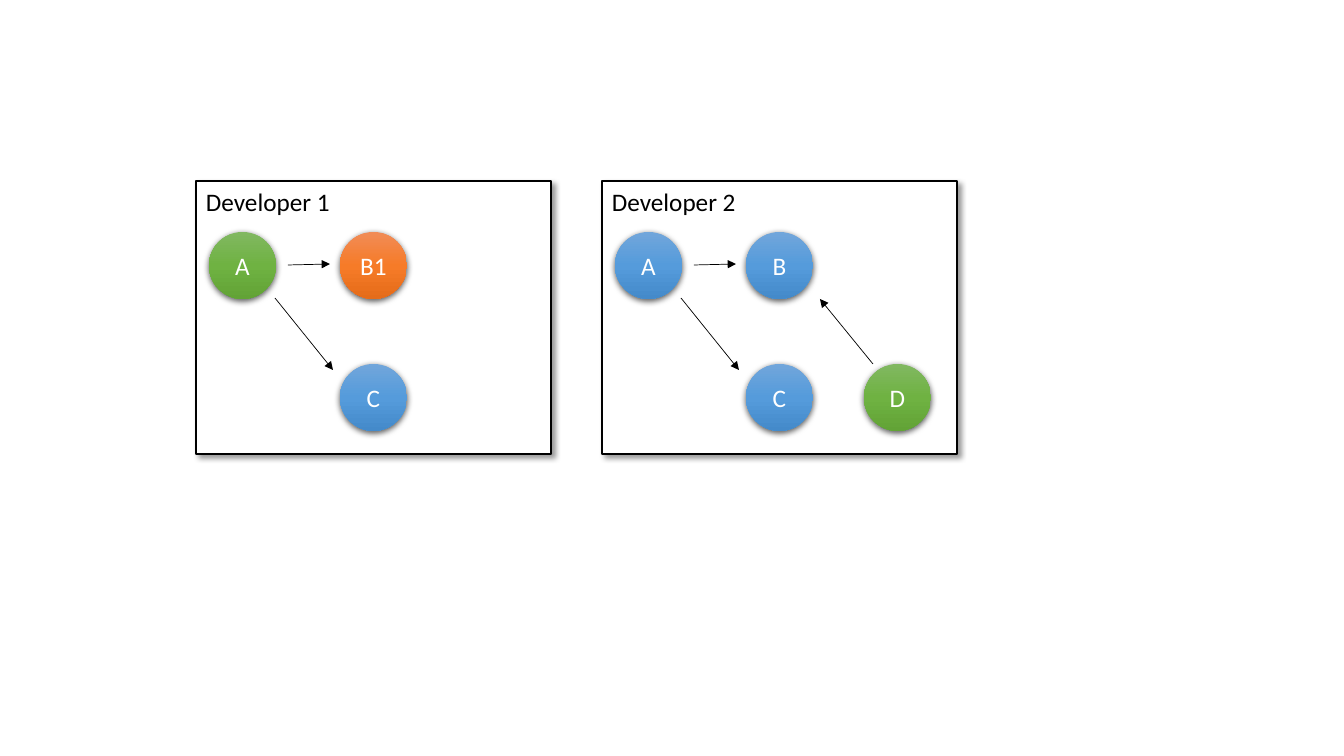
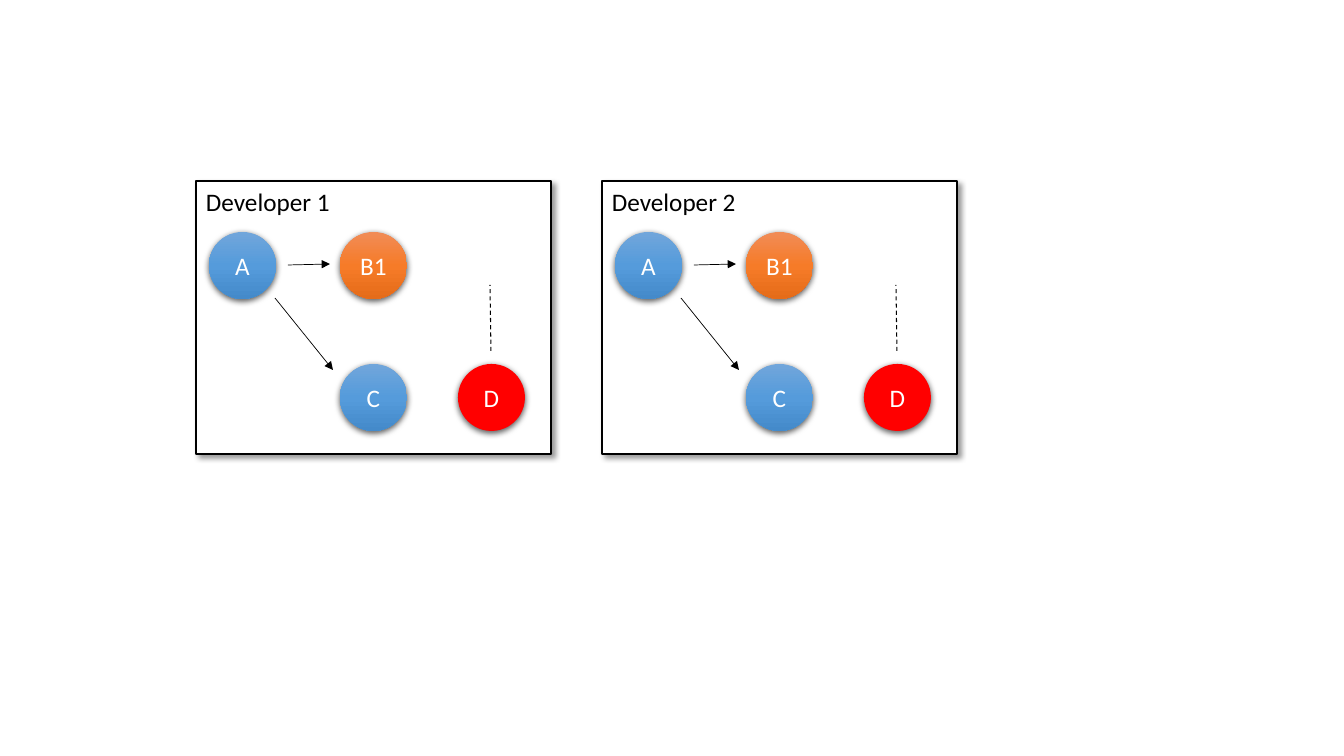
from dataclasses import dataclass
from copy import deepcopy

from pptx import Presentation
from pptx.dml.color import RGBColor
from pptx.enum.dml import MSO_LINE
from pptx.enum.shapes import MSO_CONNECTOR, MSO_SHAPE
from pptx.enum.text import MSO_ANCHOR, PP_ALIGN
from pptx.oxml import parse_xml
from pptx.oxml.ns import nsdecls, qn
from pptx.util import Emu, Pt

EMU_PER_PX = 914400 / 100.8


@dataclass(frozen=True)
class Theme:
    """Colours, type and shadows shared by the slides."""
    font: str = "Calibri"
    size: float = 18
    ink: str = "000000"
    paper: str = "FFFFFF"
    blue: tuple = ("71A6DB", "559BDB", "448ACA")
    green: tuple = ("81B861", "6FB242", "62A336")
    orange: tuple = ("F18C57", "F67B28", "E56C19")
    red: tuple = ("FF0000",)
    # opacity %, blur pt, distance pt, direction in degrees
    panel_shadow: tuple = (40, 4, 3, 45)
    node_shadow: tuple = (63, 4.5, 1.5, 90)


T = Theme()

# Panel geometry; everything inside a panel is relative to its corner.
PANEL_LEFT, PANEL_TOP, PANEL_W, PANEL_H = 196, 181, 355, 273
PANEL_STEP = 406
NODE = 67
COLUMNS = (13, 144, 262)
ROWS = (51, 183)

A_TO_B = ((92, 84), (134, 83))
A_TO_C = ((79, 117), (137, 189))
D_TO_B = ((271, 183), (218, 118))
D_LOOSE = ((295, 170), (294, 104))


def px(value):
    """Turn pixels into EMU."""
    return Emu(round(value * EMU_PER_PX))


def rgb(value):
    """Turn a hex string into a colour."""
    return RGBColor.from_string(value)


def set_shadow(shape, opacity, blur, distance, direction):
    """Give a shape an outer shadow."""
    shape.shadow.inherit = False
    shape._element.spPr.find(qn("a:effectLst")).append(parse_xml(
        f'<a:outerShdw {nsdecls("a")} blurRad="{Pt(blur)}" '
        f'dist="{Pt(distance)}" dir="{direction * 60000}" '
        f'algn="ctr" rotWithShape="0"><a:srgbClr val="{T.ink}">'
        f'<a:alpha val="{opacity * 1000}"/></a:srgbClr></a:outerShdw>'))


def set_fill(shape, colors):
    """Fill with one colour, or with three from top to bottom."""
    fill = shape.fill
    if len(colors) == 1:
        fill.solid()
        fill.fore_color.rgb = rgb(colors[0])
        return
    fill.gradient()
    fill.gradient_angle = 270
    stops = shape._element.spPr.find(".//" + qn("a:gsLst"))
    stops.insert(1, deepcopy(stops[0]))
    for stop, color, position in zip(fill.gradient_stops, colors, (0, 0.5, 1)):
        stop.color.rgb = rgb(color)
        stop.position = position


def set_text(shape, text, color=T.ink, align=PP_ALIGN.LEFT,
             anchor=MSO_ANCHOR.TOP, wrap=True):
    """Write one formatted line of text into a shape."""
    tf = shape.text_frame
    tf.word_wrap = wrap
    tf.vertical_anchor = anchor
    p = tf.paragraphs[0]
    p.alignment = align
    r = p.add_run()
    r.text = text
    r.font.name = T.font
    r.font.size = Pt(T.size)
    r.font.color.rgb = rgb(color)


def add_panel(s, left, title):
    """Draw a developer's framed workspace."""
    sp = s.shapes.add_shape(MSO_SHAPE.RECTANGLE, px(left), px(PANEL_TOP),
                            px(PANEL_W), px(PANEL_H))
    set_fill(sp, (T.paper,))
    sp.line.color.rgb = rgb(T.ink)
    sp.line.width = Pt(1)
    set_shadow(sp, *T.panel_shadow)
    set_text(sp, title)


def add_node(s, left, label, column, row, colors):
    """Draw a labelled circle on the panel's grid."""
    sp = s.shapes.add_shape(MSO_SHAPE.OVAL, px(left + COLUMNS[column]),
                            px(PANEL_TOP + ROWS[row]), px(NODE), px(NODE))
    set_fill(sp, colors)
    sp.line.fill.background()
    set_shadow(sp, *T.node_shadow)
    set_text(sp, label, color=T.paper, align=PP_ALIGN.CENTER,
             anchor=MSO_ANCHOR.MIDDLE, wrap=False)


def add_link(s, left, ends, dashed=False):
    """Draw an arrow, or a dashed line without a head."""
    (x1, y1), (x2, y2) = ends
    c = s.shapes.add_connector(
        MSO_CONNECTOR.STRAIGHT, px(left + x1), px(PANEL_TOP + y1),
        px(left + x2), px(PANEL_TOP + y2))
    c.line.color.rgb = rgb(T.ink)
    c.line.width = Pt(0.75 if dashed else 0.5)
    spPr = c._element.spPr
    if dashed:
        c.line.dash_style = MSO_LINE.DASH
    else:
        spPr.find(qn("a:ln")).append(
            parse_xml(f'<a:tailEnd {nsdecls("a")} type="triangle"/>'))
    spPr.append(parse_xml(f'<a:effectLst {nsdecls("a")}/>'))


def add_developer(s, number, a, b, d=None, b_label="B1", d_linked=False):
    """Draw one developer's panel with its nodes and links."""
    left = PANEL_LEFT + (number - 1) * PANEL_STEP
    add_panel(s, left, f"Developer {number}")
    add_node(s, left, "A", 0, 0, a)
    add_node(s, left, b_label, 1, 0, b)
    add_node(s, left, "C", 1, 1, T.blue)
    if d:
        add_node(s, left, "D", 2, 1, d)
    add_link(s, left, A_TO_B)
    add_link(s, left, A_TO_C)
    if d:
        add_link(s, left, D_TO_B if d_linked else D_LOOSE,
                 dashed=not d_linked)


def main():
    """Build both slides and save them."""
    prs = Presentation()
    prs.slide_width, prs.slide_height = px(1344), px(756)
    blank = prs.slide_layouts[6]

    s = prs.slides.add_slide(blank)
    add_developer(s, 1, a=T.green, b=T.orange)
    add_developer(s, 2, a=T.blue, b=T.blue, d=T.green, b_label="B",
                  d_linked=True)

    s = prs.slides.add_slide(blank)
    for number in (2, 1):
        add_developer(s, number, a=T.blue, b=T.orange, d=T.red)

    prs.save("out.pptx")


main()
